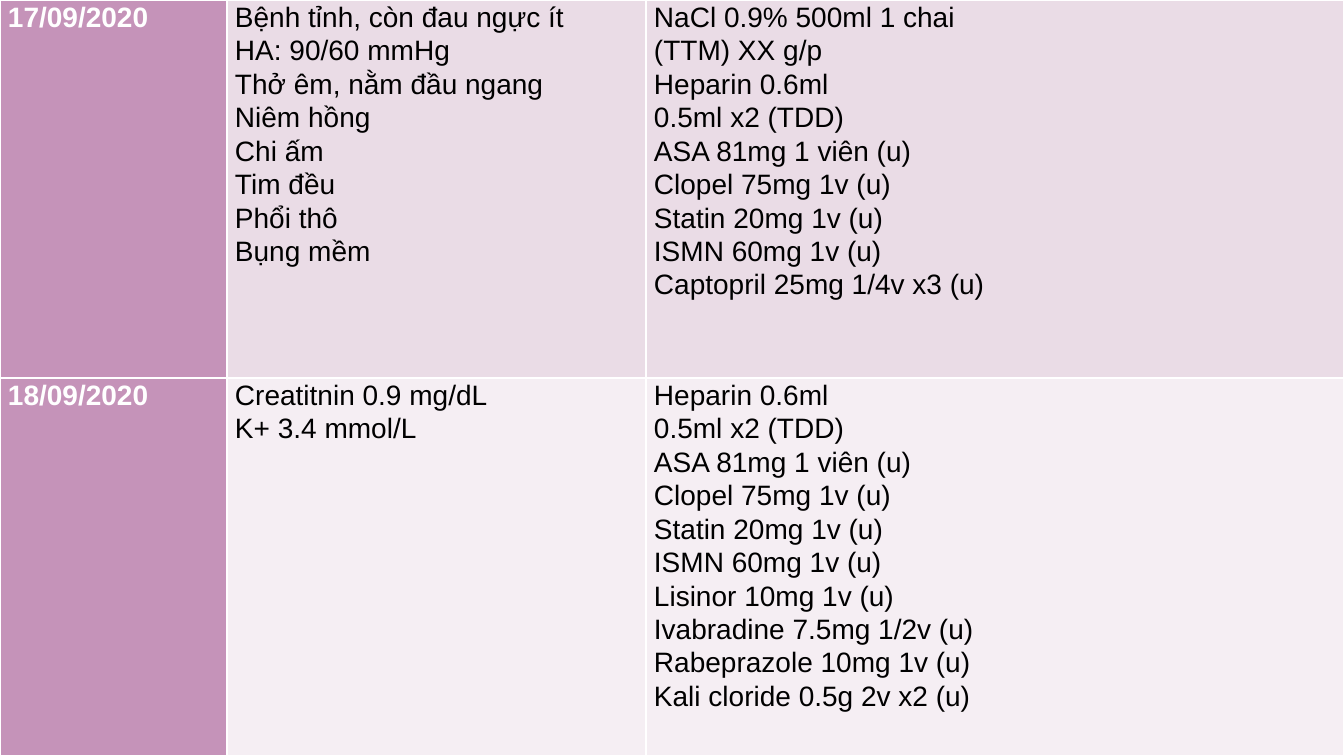
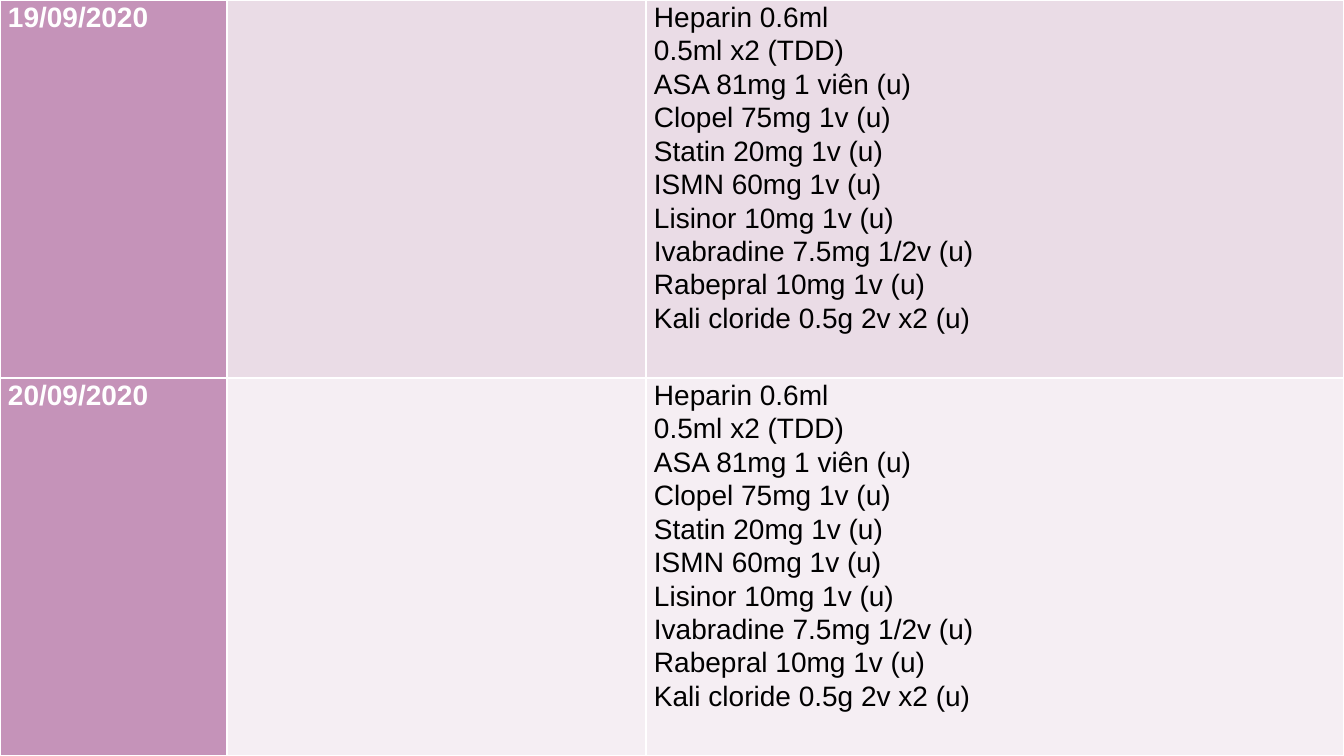
from dataclasses import dataclass

from lxml.etree import SubElement
from pptx import Presentation
from pptx.dml.color import RGBColor
from pptx.enum.text import PP_ALIGN
from pptx.oxml.ns import qn
from pptx.util import Pt

# Content: slides > days > (date, findings, orders)
CORE_ORDERS = [
    "Heparin 0.6ml",
    "0.5ml x2 (TDD)",
    "ASA 81mg 1 viên (u)",
    "Clopel 75mg 1v (u)",
    "Statin 20mg 1v (u)",
    "ISMN 60mg 1v (u)",
]
FIRST_DAY_FINDINGS = [
    "Bệnh tỉnh, còn đau ngực ít",
    "HA: 90/60 mmHg",
    "Thở êm, nằm đầu ngang",
    "Niêm hồng",
    "Chi ấm",
    "Tim đều",
    "Phổi thô",
    "Bụng mềm",
]
FIRST_DAY_ORDERS = [
    "NaCl 0.9% 500ml 1 chai",
    "(TTM) XX g/p",
    *CORE_ORDERS,
    "Captopril 25mg 1/4v x3 (u)",
]


def later_orders(stomach_drug):
    return [
        *CORE_ORDERS,
        "Lisinor 10mg 1v (u)",
        "Ivabradine 7.5mg 1/2v (u)",
        f"{stomach_drug} 10mg 1v (u)",
        "Kali cloride 0.5g 2v x2 (u)",
    ]


SLIDES = [
    [
        ("17/09/2020", FIRST_DAY_FINDINGS, FIRST_DAY_ORDERS),
        (
            "18/09/2020",
            ["Creatitnin 0.9 mg/dL", "K+ 3.4 mmol/L"],
            later_orders("Rabeprazole"),
        ),
    ],
    [
        ("19/09/2020", [], later_orders("Rabepral")),
        ("20/09/2020", [], later_orders("Rabepral")),
    ],
]

# Lengths in px
SLIDE_W, SLIDE_H = 1344, 756
COLUMN_WIDTHS = [227, 419, 698]
CELL_INSET = 8


@dataclass(frozen=True)
class Theme:
    font: str = "Arial"
    size: int = 20
    line_spacing: float = 1.07
    border_pt: int = 1
    border: str = "FFFFFF"
    date_fill: str = "C593B9"
    date_text: str = "FFFFFF"
    body_text: str = "000000"
    bands: tuple = ("EADCE6", "F5EEF3")


THEME = Theme()


def px(length):
    return round(length * 12192000 / SLIDE_W)


def add_borders(cell):
    """Draw all four cell edges; must run before the fill is set."""
    properties = cell._tc.get_or_add_tcPr()
    for edge in ("lnL", "lnR", "lnT", "lnB"):
        line = SubElement(properties, qn(f"a:{edge}"), w=str(Pt(THEME.border_pt)))
        fill = SubElement(line, qn("a:solidFill"))
        SubElement(fill, qn("a:srgbClr"), val=THEME.border)


def write_lines(cell, lines, color, bold):
    frame = cell.text_frame
    for index, line in enumerate(lines):
        paragraph = frame.add_paragraph() if index else frame.paragraphs[0]
        paragraph.alignment = PP_ALIGN.JUSTIFY
        paragraph.line_spacing = THEME.line_spacing
        run = paragraph.add_run()
        run.text = line
        run.font.name = THEME.font
        run.font.size = Pt(THEME.size)
        run.font.bold = bold
        run.font.color.rgb = RGBColor.from_string(color)


def format_cell(cell, fill):
    cell.margin_left = cell.margin_right = px(CELL_INSET)
    cell.margin_top = cell.margin_bottom = 0
    add_borders(cell)
    cell.fill.solid()
    cell.fill.fore_color.rgb = RGBColor.from_string(fill)


def add_day_table(slide, days):
    table = slide.shapes.add_table(
        len(days), len(COLUMN_WIDTHS), 0, 0, px(SLIDE_W), px(SLIDE_H)
    ).table
    table.first_row = table.horz_banding = False
    for column, width in zip(table.columns, COLUMN_WIDTHS):
        column.width = px(width)
    for index, (date, findings, orders) in enumerate(days):
        table.rows[index].height = px(SLIDE_H / len(days))
        band = THEME.bands[index % len(THEME.bands)]
        date_cell, *body_cells = table.rows[index].cells
        format_cell(date_cell, THEME.date_fill)
        write_lines(date_cell, [date], THEME.date_text, bold=True)
        for cell, lines in zip(body_cells, (findings, orders)):
            format_cell(cell, band)
            write_lines(cell, lines, THEME.body_text, bold=False)


def main():
    deck = Presentation()
    deck.slide_width, deck.slide_height = px(SLIDE_W), px(SLIDE_H)
    blank_layout = deck.slide_layouts[6]
    for days in SLIDES:
        add_day_table(deck.slides.add_slide(blank_layout), days)
    deck.save("out.pptx")


if __name__ == "__main__":
    main()
